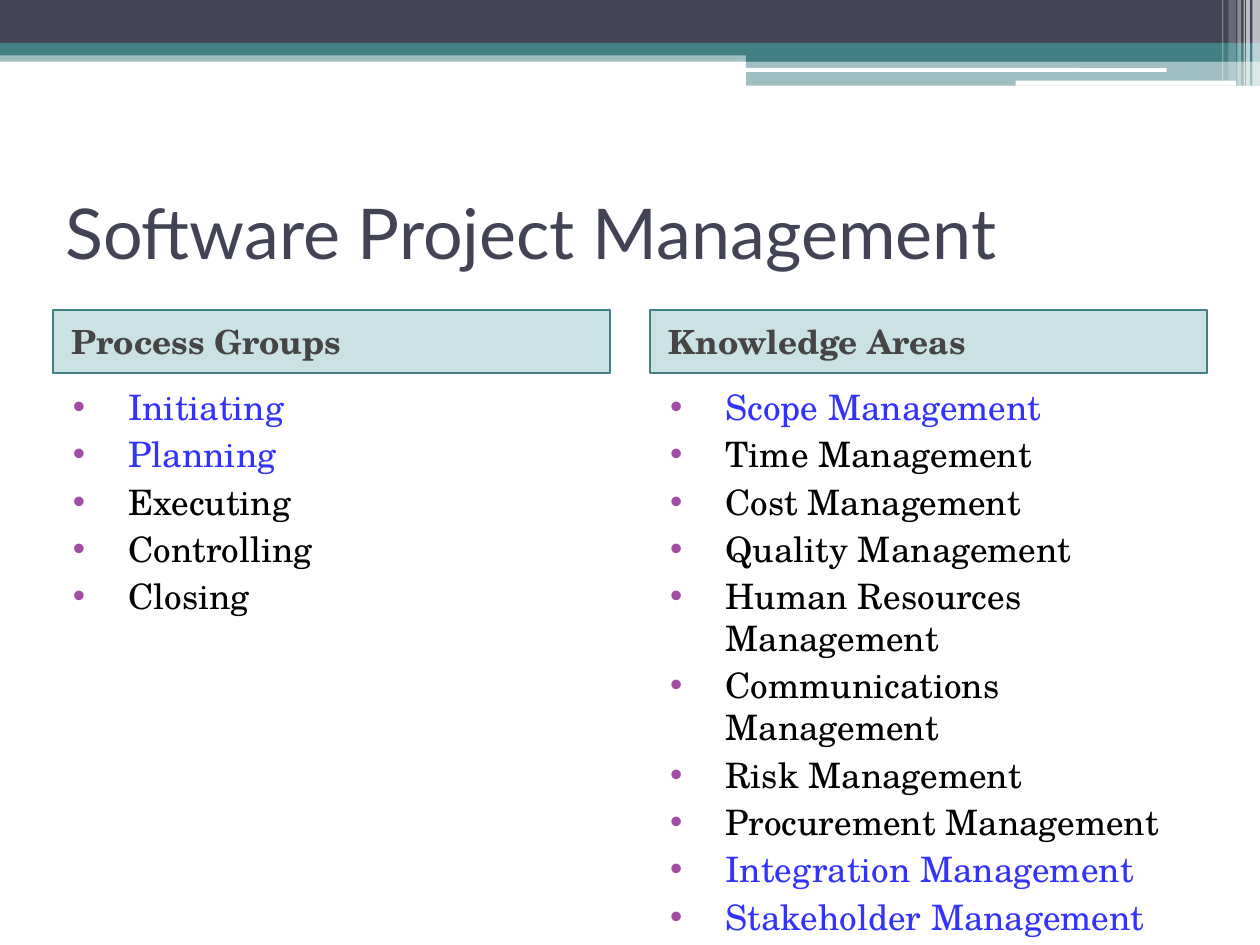
from lxml.etree import SubElement
from pptx import Presentation
from pptx.dml.color import RGBColor as Rgb
from pptx.enum.shapes import MSO_SHAPE as Shape
from pptx.enum.text import MSO_ANCHOR as Anchor
from pptx.oxml.ns import qn
from pptx.util import Inches, Pt

COLUMNS, ROWS = 100, 75
CELL = Inches(10) // COLUMNS
MARGIN, PANEL_WIDTH, PANEL_STEP = 4.2, 44.2, 47.4
HEADING_TOP, HEADING_HEIGHT, LIST_HEIGHT = 24.6, 5, 42.5
SANS, SERIF = "Lato", "TeX Gyre Schola"

COLORS = {
    "navy": "424456", "teal": "438086", "aqua": "328E97", "white": "FFFFFF",
    "gray": "454545", "blue": "3333FF", "black": "000000", "purple": "A04DA3",
}

BANDS = [
    (0, 4, 100, 0.9, "teal", 50),
    (0, 0, 100, 3.4, "navy", 100),
    (0, 3.4, 100, 1, "teal", 100),
    (59.2, 3.9, 40.8, 1, "teal", 100),
    (59.2, 4.8, 40.8, 2, "teal", 50),
]
RULES = [(59.1, 5.4, 33.5, 0.3), (80.6, 6.4, 17.5, 0.4)]
STRIPES = [
    (99.4, 0.6, 6.8, 65), (98.9, 0.3, 6.8, 65), (98.7, 0.1, 6.8, 60),
    (98.2, 0.3, 6.8, 40), (97.5, 0.6, 6.4, 20), (97, 0.1, 6.4, 30),
]
PANELS = [
    ("Process Groups",
     ["Initiating", "Planning", "Executing", "Controlling", "Closing"],
     {"Initiating", "Planning"}),
    ("Knowledge Areas",
     ["Scope Management", "Time Management", "Cost Management",
      "Quality Management", "Human Resources Management",
      "Communications Management", "Risk Management",
      "Procurement Management", "Integration Management",
      "Stakeholder Management"],
     {"Scope Management", "Integration Management", "Stakeholder Management"}),
]


def color(name):
    """Return the named palette color."""
    return Rgb.from_string(COLORS[name])


def cells(*counts):
    """Turn counts of grid cells into lengths."""
    return [round(count * CELL) for count in counts]


def add_block(page, place, fill, opacity=100, kind=Shape.RECTANGLE):
    """Add a borderless filled shape."""
    block = page.shapes.add_shape(kind, *cells(*place))
    block.shadow.inherit = False
    block.fill.solid()
    block.fill.fore_color.rgb = color(fill)
    block.line.fill.background()
    if opacity < 100:
        tint = block.fill._xPr.find(".//" + qn("a:srgbClr"))
        SubElement(tint, qn("a:alpha"), val=str(opacity * 1000))
    return block


def prepare_frame(box, anchor):
    """Set wrapping, insets and anchor, and return the text frame."""
    frame = box.text_frame
    frame.word_wrap = True
    frame.vertical_anchor = anchor
    frame.margin_left = frame.margin_right = Inches(0.1)
    frame.margin_top = frame.margin_bottom = Inches(0.1)
    return frame


def indent(para, left, first=0):
    """Set the left and first-line indents in inches."""
    props = para._p.get_or_add_pPr()
    props.set("algn", "l")
    props.set("marL", str(Inches(left)))
    props.set("indent", str(Inches(first)))
    return props


def style(para, face, size, shade, bold=False):
    """Set the font of a paragraph."""
    font = para.font
    font.name, font.size, font.bold = face, Pt(size), bold
    font.color.rgb = color(shade)


def add_banner(page):
    """Draw the layered banner along the top."""
    for *place, fill, opacity in BANDS:
        add_block(page, place, fill, opacity)
    for place in RULES:
        add_block(page, place, "white", kind=Shape.ROUNDED_RECTANGLE)
    for left, width, height, opacity in STRIPES:
        add_block(page, (left, 0, width, height), "white", opacity)


def add_title(page, words):
    """Add the slide title."""
    place = cells(MARGIN, 12.5, COLUMNS - 2 * MARGIN, 11.7)
    para = prepare_frame(page.shapes.add_textbox(*place), Anchor.MIDDLE).paragraphs[0]
    para.text = words
    style(para, SANS, 40, "navy")


def add_heading(page, left, words):
    """Add the tinted heading of a panel."""
    place = (left, HEADING_TOP, PANEL_WIDTH, HEADING_HEIGHT)
    box = add_block(page, place, "aqua", 25)
    box.line.color.rgb = color("teal")
    box.line.width = Pt(1)
    para = prepare_frame(box, Anchor.MIDDLE).paragraphs[0]
    para.text = words
    indent(para, 0.05)
    style(para, SERIF, 19, "gray", bold=True)


def add_list(page, left, items, highlights):
    """Add the bulleted list of a panel."""
    place = cells(left, HEADING_TOP + HEADING_HEIGHT, PANEL_WIDTH, LIST_HEIGHT)
    frame = prepare_frame(page.shapes.add_textbox(*place), Anchor.TOP)
    for index, item in enumerate(items):
        para = frame.add_paragraph() if index else frame.paragraphs[0]
        para.text = item
        para.space_before = Pt(3 if index else 0)
        props = indent(para, 0.5, -0.44)
        tint = SubElement(props, qn("a:buClr"))
        SubElement(tint, qn("a:srgbClr"), val=COLORS["purple"])
        SubElement(props, qn("a:buFont"), typeface="Arial")
        SubElement(props, qn("a:buChar"), char="•")
        style(para, SERIF, 20, "blue" if item in highlights else "black")


def main():
    """Build and save the slide."""
    deck = Presentation()
    deck.slide_width, deck.slide_height = cells(COLUMNS, ROWS)
    page = deck.slides.add_slide(deck.slide_layouts[6])
    add_banner(page)
    add_title(page, "Software Project Management")
    for index, (heading, items, highlights) in enumerate(PANELS):
        left = MARGIN + index * PANEL_STEP
        add_heading(page, left, heading)
        add_list(page, left, items, highlights)
    deck.save("out.pptx")


if __name__ == "__main__":
    main()
